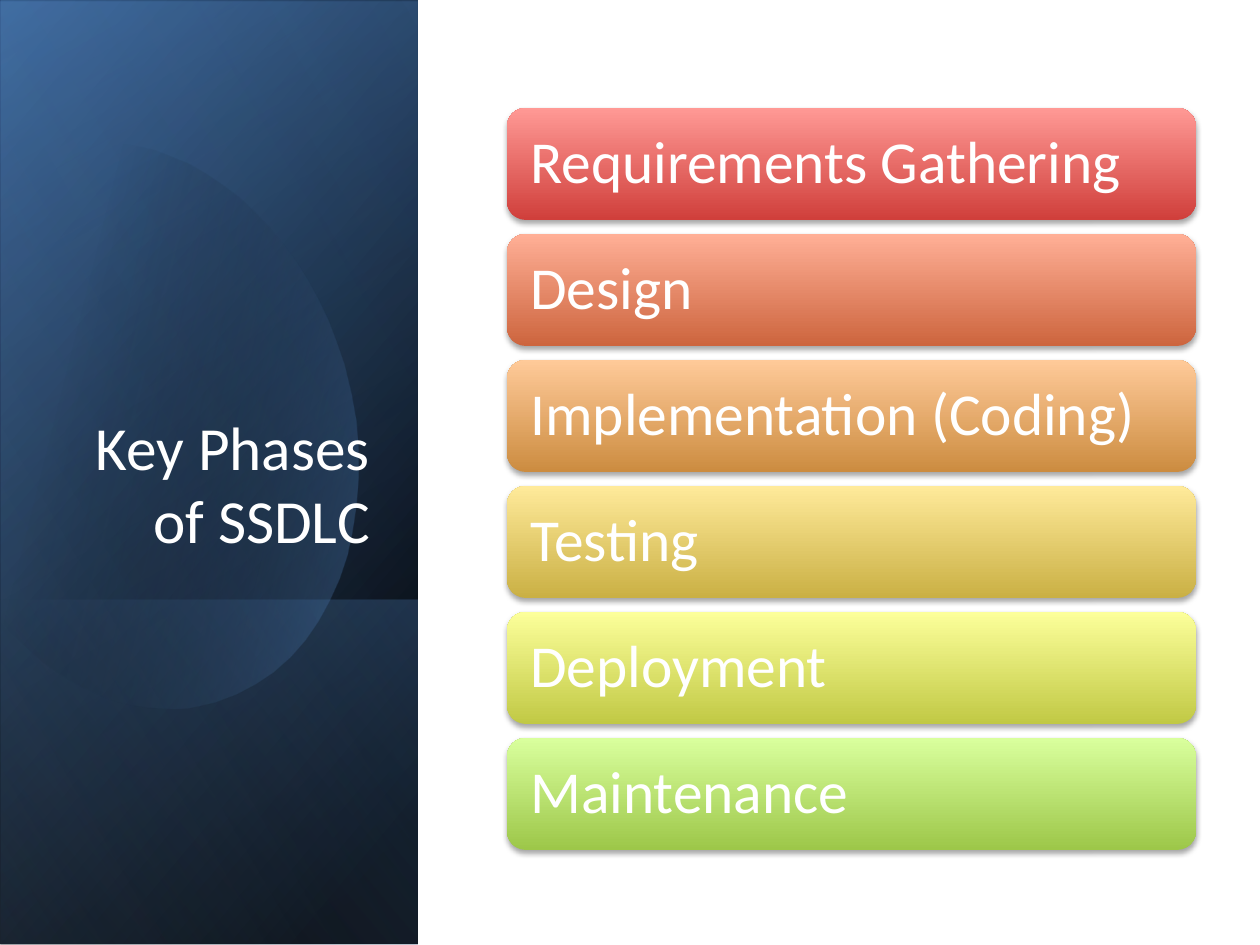
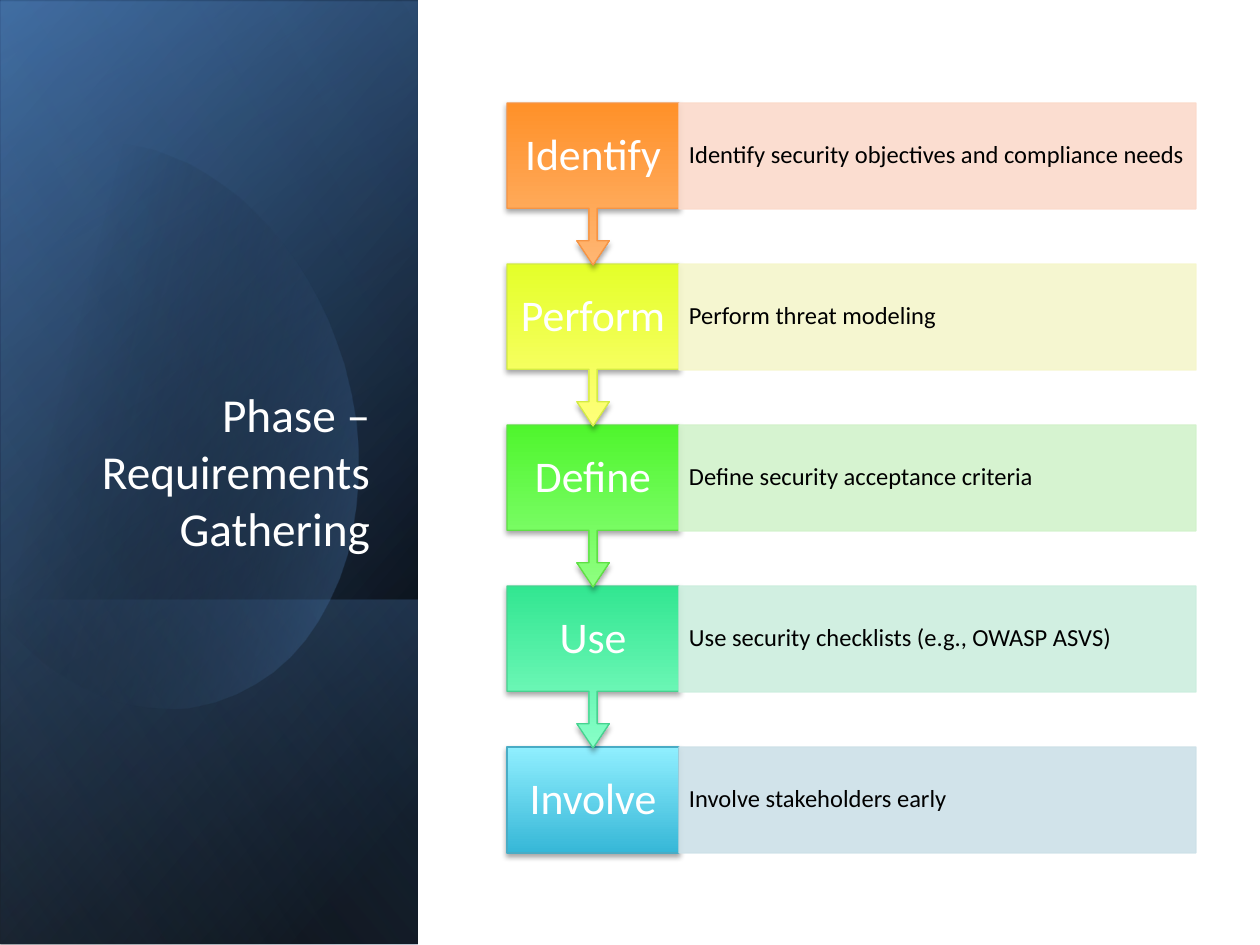
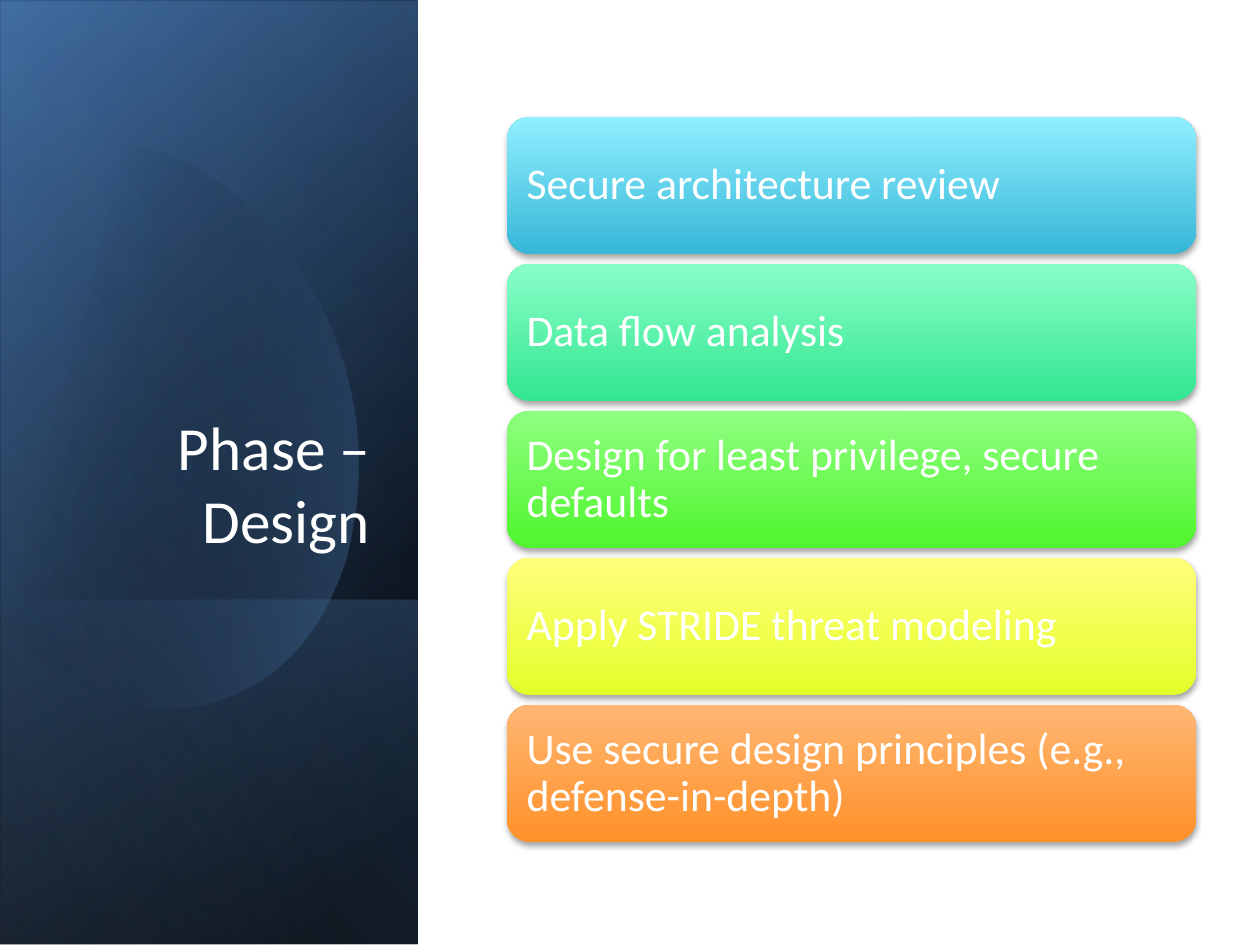
"""Build three slides on the phases of a secure software development life cycle."""
from lxml import etree
from pptx import Presentation
from pptx import util as u
from pptx.dml.color import RGBColor
from pptx.enum import shapes, text
from pptx.oxml import parse_xml
from pptx.oxml.ns import nsdecls, qn

PX = 7257
FONT = "Calibri"
WHITE = RGBColor(0xFF, 0xFF, 0xFF)
BLACK = RGBColor(0x00, 0x00, 0x00)
NAVY = RGBColor(0x36, 0x60, 0x92)
BLUE = RGBColor(0x4F, 0x81, 0xBD)
PALE_BLUE = RGBColor(0x93, 0xB3, 0xD7)

RED = RGBColor(0xD0, 0x3F, 0x3B), RGBColor(0xFF, 0x99, 0x95)
RUST = RGBColor(0xCD, 0x65, 0x3E), RGBColor(0xFF, 0xAF, 0x96)
AMBER = RGBColor(0xCC, 0x8C, 0x40), RGBColor(0xFF, 0xCA, 0x99)
GOLD = RGBColor(0xCA, 0xB0, 0x44), RGBColor(0xFF, 0xEA, 0x9A)
OLIVE = RGBColor(0xC1, 0xC9, 0x45), RGBColor(0xFC, 0xFF, 0x9A)
LIME = RGBColor(0x9D, 0xC7, 0x49), RGBColor(0xD9, 0xFF, 0x9D)
CYAN = RGBColor(0x36, 0xB7, 0xD7), RGBColor(0x90, 0xEF, 0xFF)
MINT = RGBColor(0x32, 0xE6, 0x91), RGBColor(0x89, 0xFF, 0xC8)
GREEN = RGBColor(0x4F, 0xF6, 0x2D), RGBColor(0x8F, 0xFF, 0x81)
YELLOW = RGBColor(0xE4, 0xFF, 0x2A), RGBColor(0xFF, 0xFF, 0x7B)
ORANGE = RGBColor(0xFF, 0x91, 0x29), RGBColor(0xFF, 0xB6, 0x73)

CYAN_LINE, CYAN_TINT = RGBColor(0x49, 0xAC, 0xC5), RGBColor(0xCD, 0xE1, 0xE8)
MINT_LINE, MINT_TINT = RGBColor(0x47, 0xD2, 0x90), RGBColor(0xCC, 0xEE, 0xDE)
GREEN_LINE, GREEN_TINT = RGBColor(0x5F, 0xDF, 0x45), RGBColor(0xD2, 0xF2, 0xCB)
YELLOW_LINE, YELLOW_TINT = RGBColor(0xD3, 0xEB, 0x44), RGBColor(0xF5, 0xF6, 0xCB)
ORANGE_LINE, ORANGE_TINT = RGBColor(0xF6, 0x94, 0x44), RGBColor(0xFB, 0xDA, 0xCB)


def paint(sp, stops, angle, line=None, shadow=False):
    gs = "".join(
        f'<a:gs pos="{pos * 1000}"><a:srgbClr val="{color}">'
        f'<a:alpha val="{alpha * 1000}"/></a:srgbClr></a:gs>'
        for pos, color, alpha in stops)
    spPr = sp._element.spPr
    spPr.append(parse_xml(
        f'<a:gradFill {nsdecls("a")} rotWithShape="1"><a:gsLst>{gs}</a:gsLst>'
        f'<a:lin ang="{angle * 60000}" scaled="0"/></a:gradFill>'))
    if line:
        sp.line.color.rgb = line
        sp.line.width = u.Pt(0.75)
    else:
        sp.line.fill.background()
    sp.shadow.inherit = False
    if shadow:
        spPr.find(qn("a:effectLst")).append(parse_xml(
            f'<a:outerShdw {nsdecls("a")} blurRad="40000" dist="23000" dir="5400000" '
            'rotWithShape="0"><a:srgbClr val="000000"><a:alpha val="35000"/>'
            '</a:srgbClr></a:outerShdw>'))


def write(sp, words, size, color=WHITE, align=text.PP_ALIGN.LEFT,
          anchor=text.MSO_ANCHOR.MIDDLE, inset=(13, 13), spacing=0.9):
    tf = sp.text_frame
    tf.word_wrap = True
    tf.vertical_anchor = anchor
    tf.margin_left = tf.margin_right = inset[0] * PX
    tf.margin_top = tf.margin_bottom = inset[1] * PX
    p = tf.paragraphs[0]
    p.alignment = align
    p.line_spacing = spacing
    r = p.add_run()
    r.text = words
    r.font.name = FONT
    r.font.size = u.Pt(size)
    r.font.color.rgb = color


prs = Presentation()
prs.slide_width = 1260 * PX
prs.slide_height = 945 * PX

BANDS = [
    (-263, 263, 945, 417, 50, [(0, BLACK, 100), (8, BLACK, 100), (100, NAVY, 100)]),
    (-263, 266, 945, 417, 30, [(0, BLACK, 0), (99, BLUE, 46), (100, BLUE, 46)]),
    (37, 564, 345, 417, 130, [(0, BLUE, 29), (2, BLUE, 29), (100, BLACK, 30)]),
    (-263, 263, 945, 417, 120, [(0, BLACK, 0), (99, PALE_BLUE, 11), (100, PALE_BLUE, 11)]),
]
BLOB_START = (121, 144)
BLOB_CURVES = [
    [(215, 154), (307, 242), (344, 365)],
    [(387, 519), (330, 669), (215, 702)],
    [(144, 723), (67, 693), (9, 630)],
    [(-4, 615)],
    [(-32, 209)],
    [(-19, 194)],
    [(2, 173), (28, 158), (57, 149)],
    [(78, 142), (100, 141), BLOB_START],
]
STEPS = 16
outline = [BLOB_START]
for curve in BLOB_CURVES:
    if len(curve) == 1:
        outline += curve
        continue
    ctrl = [outline[-1], *curve]
    for t in (i / STEPS for i in range(1, STEPS + 1)):
        weights = (1 - t) ** 3, 3 * t * (1 - t) ** 2, 3 * t * t * (1 - t), t ** 3
        outline.append(tuple(sum(w * c[k] for w, c in zip(weights, ctrl)) for k in (0, 1)))

TITLES = [("Key Phases of SSDLC", 35), ("Phase – Requirements Gathering", 27),
          ("Phase – Design", 35)]
for title, size in TITLES:
    s = prs.slides.add_slide(prs.slide_layouts[6])
    for n, (x, y, w, h, angle, stops) in enumerate(BANDS):
        if n == 3:
            fb = s.shapes.build_freeform(*BLOB_START, scale=PX)
            fb.add_line_segments(outline[1:], close=True)
            paint(fb.convert_to_shape(), [(0, BLACK, 0), (29, BLACK, 0), (100, BLUE, 43)], 14)
        sp = s.shapes.add_shape(shapes.MSO_SHAPE.RECTANGLE, x * PX, y * PX, w * PX, h * PX)
        sp.rotation = 90
        sp._element.spPr.xfrm.set("flipH", "1")
        paint(sp, stops, angle)
    sp = s.shapes.add_textbox(61 * PX, 232 * PX, 322 * PX, 330 * PX)
    write(sp, title, size, align=text.PP_ALIGN.RIGHT, anchor=text.MSO_ANCHOR.BOTTOM,
          inset=(13, 6), spacing=1.0)
phases, requirements, design = prs.slides

LEFT, WIDTH = 507, 689
CARDS = [
    (phases, 108, 126, 112, 34, 18, [
        ("Requirements Gathering", RED), ("Design", RUST),
        ("Implementation (Coding)", AMBER), ("Testing", GOLD),
        ("Deployment", OLIVE), ("Maintenance", LIME)]),
    (design, 117, 147, 137, 25, 13, [
        ("Secure architecture review", CYAN), ("Data flow analysis", MINT),
        ("Design for least privilege, secure defaults", GREEN),
        ("Apply STRIDE threat modeling", YELLOW),
        ("Use secure design principles (e.g., defense-in-depth)", ORANGE)]),
]
for s, top, pitch, height, size, inset, cards in CARDS:
    for i, (words, (dark, light)) in enumerate(cards):
        sp = s.shapes.add_shape(shapes.MSO_SHAPE.ROUNDED_RECTANGLE, LEFT * PX,
                                (top + i * pitch) * PX, WIDTH * PX, height * PX)
        paint(sp, [(0, dark, 100), (100, light, 100)], 270, shadow=True)
        write(sp, words, size, inset=(inset, inset))

ACTIONS = [
    ("Identify", "Identify security objectives and compliance needs",
     ORANGE, ORANGE_LINE, ORANGE_TINT),
    ("Perform", "Perform threat modeling", YELLOW, YELLOW_LINE, YELLOW_TINT),
    ("Define", "Define security acceptance criteria", GREEN, GREEN_LINE, GREEN_TINT),
    ("Use", "Use security checklists (e.g., OWASP ASVS)", MINT, MINT_LINE, MINT_TINT),
    ("Involve", "Involve stakeholders early", CYAN, CYAN_LINE, CYAN_TINT),
]
TOP, PITCH, BOX_W, BOX_H, CALLOUT_H = 103, 161, 172, 106, 162
for i, (verb, detail, (dark, light), line, tint) in reversed(list(enumerate(ACTIONS))):
    y = TOP + i * PITCH
    if i == len(ACTIONS) - 1:
        sp = requirements.shapes.add_shape(shapes.MSO_SHAPE.RECTANGLE, LEFT * PX, y * PX,
                                           BOX_W * PX, BOX_H * PX)
    else:
        sp = requirements.shapes.add_shape(shapes.MSO_SHAPE.UP_ARROW_CALLOUT, LEFT * PX, y * PX,
                                           BOX_W * PX, CALLOUT_H * PX)
        sp.rotation = 180
        for n, value in enumerate((0.05, 0.1, 0.15, 0.65)):
            sp.adjustments[n] = value
    paint(sp, [(0, dark, 100), (100, light, 100)], 270, line=line, shadow=True)
    sp = requirements.shapes.add_textbox(LEFT * PX, y * PX, BOX_W * PX, BOX_H * PX)
    write(sp, verb, 25, align=text.PP_ALIGN.CENTER, inset=(12, 24))

    sp = requirements.shapes.add_shape(shapes.MSO_SHAPE.RECTANGLE, (LEFT + BOX_W) * PX, y * PX,
                                       (WIDTH - BOX_W) * PX, BOX_H * PX)
    sp.shadow.inherit = False
    sp.fill.solid()
    sp.fill.fore_color.rgb = sp.line.color.rgb = tint
    sp.line.width = u.Pt(0.75)
    for clr in list(sp._element.spPr.iter(qn("a:srgbClr"))):
        etree.SubElement(clr, qn("a:alpha")).set("val", "90000")
    write(sp, detail, 14, color=BLACK, inset=(10, 24))

prs.save("out.pptx")
